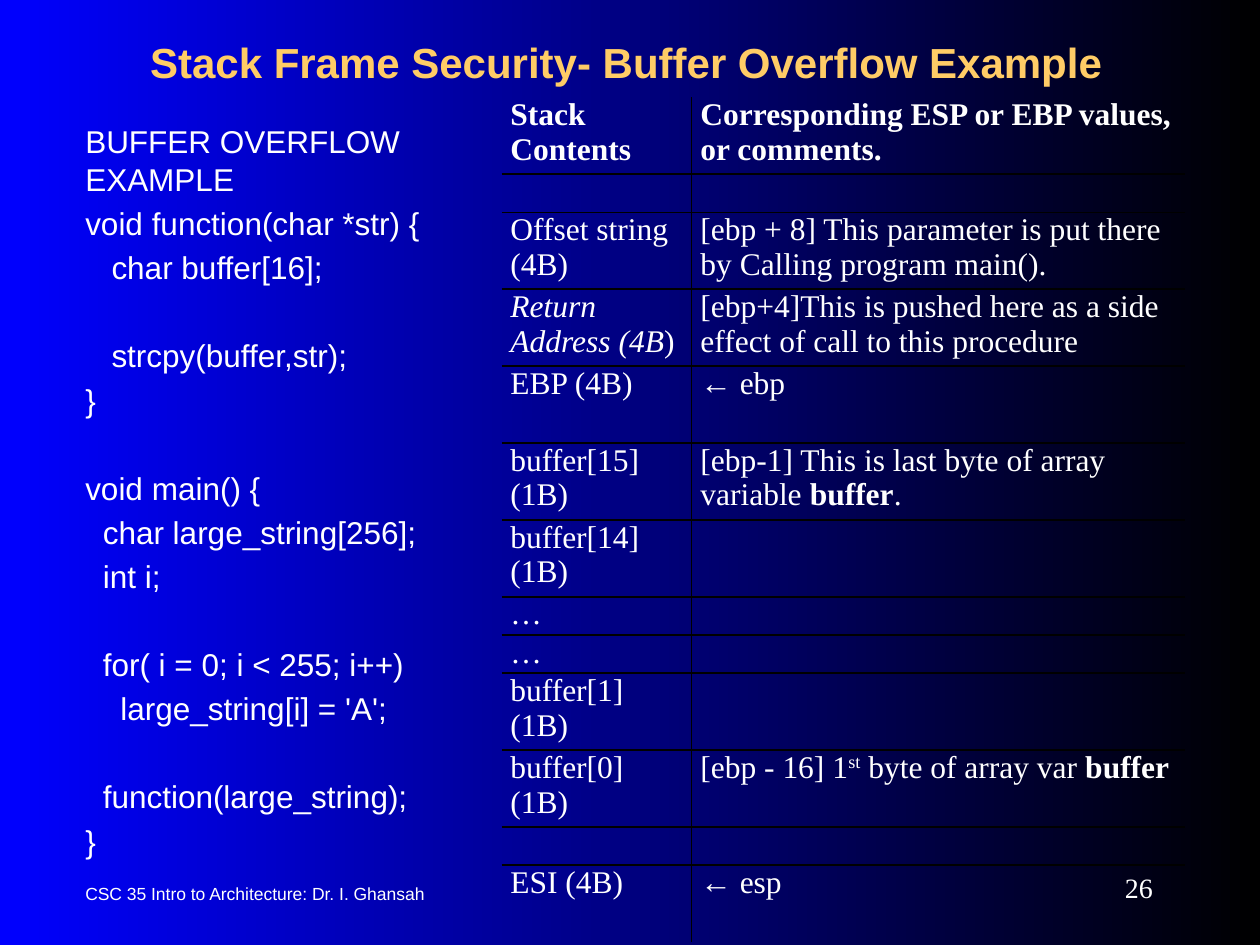
from pptx import Presentation, util as u
from pptx.dml.color import RGBColor
from pptx.enum import text
from pptx.oxml import parse_xml
from pptx.oxml.ns import nsdecls

COLORS = {"blue": "0000FF", "black": "000000", "gold": "FFCC66", "white": "FFFFFF"}
SANS, SERIF = "Arial", "Times New Roman"

HEADING = "Stack Frame Security- Buffer Overflow Example"
COURSE = "CSC 35 Intro to Architecture: Dr. I. Ghansah"
PAGE = "26"

# (lines skipped above, indent in characters, code)
CODE = [
    (0, 0, "BUFFER OVERFLOW EXAMPLE"),
    (0, 0, "void function(char *str) {"),
    (0, 3, "char buffer[16];"),
    (1, 3, "strcpy(buffer,str);"),
    (0, 0, "}"),
    (1, 0, "void main() {"),
    (0, 2, "char large_string[256];"),
    (0, 2, "int i;"),
    (1, 2, "for( i = 0; i < 255; i++)"),
    (0, 4, "large_string[i] = 'A';"),
    (1, 2, "function(large_string);"),
    (0, 0, "}"),
]

TALL, SHORT = 1.55, 0.77
STACK = [
    (TALL, [("Stack Contents", "b")],
     [("Corresponding ESP or EBP values, or comments.", "b")]),
    (SHORT, [], []),
    (TALL, [("Offset string (4B)", "")],
     [("[ebp + 8] This parameter is put there by Calling program main().", "")]),
    (TALL, [("Return Address (4B", "i"), (")", "")],
     [("[ebp+4]This is pushed here as a side effect of call to this procedure", "")]),
    (TALL, [("EBP (4B)", "")], [("← ebp", "")]),
    (TALL, [("buffer[15](1B)", "")],
     [("[ebp-1] This is last byte of array variable ", ""), ("buffer", "b"), (".", "")]),
    (TALL, [("buffer[14](1B)", "")], []),
    (SHORT, [("…", "")], []),
    (SHORT, [("…", "")], []),
    (TALL, [("buffer[1] (1B)", "")], []),
    (TALL, [("buffer[0] (1B)", "")],
     [("[ebp - 16] 1", ""), ("st", "^"), (" byte of array var ", ""), ("buffer", "b")]),
    (SHORT, [], []),
    (TALL, [("ESI (4B)", "")], [("← esp", "")]),
]
COLUMN_WIDTHS = [3.83, 9.94]
LINE_HEIGHT, LINE_GAP, SPACE_WIDTH = 21.6, 3.6, 5


def style(font, size, face, color, bold=False):
    font.size, font.name, font.bold = u.Pt(size), face, bold
    font.color.rgb = RGBColor.from_string(COLORS[color])


def add_words(slide, box, lines, size, face, color="white", bold=False,
              align=text.PP_ALIGN.LEFT, anchor=text.MSO_ANCHOR.MIDDLE):
    frame = slide.shapes.add_textbox(*map(u.Cm, box)).text_frame
    frame.word_wrap, frame.vertical_anchor = True, anchor
    frame.text = "\n".join(lines)
    for paragraph in frame.paragraphs:
        paragraph.alignment = align
        style(paragraph.runs[0].font, size, face, color, bold)
    return frame


def add_borders(cell, edges):
    props = cell._tc.get_or_add_tcPr()
    for side, drawn in edges.items():
        paint = (f'<a:solidFill><a:srgbClr val="{COLORS["black"]}"/></a:solidFill>'
                 if drawn else "<a:noFill/>")
        props.append(parse_xml(f'<a:ln{side} {nsdecls("a")} w="12700">{paint}</a:ln{side}>'))


def fill_cell(cell, parts):
    cell.margin_left = cell.margin_right = u.Cm(0.18)
    cell.margin_top = cell.margin_bottom = 0
    paragraph = cell.text_frame.paragraphs[0]
    for words, mark in parts:
        run = paragraph.add_run()
        run.text = words
        style(run.font, 18, SERIF, "white", mark == "b")
        run.font.italic = mark == "i"
        if mark == "^":
            run.font._element.set("baseline", "30000")


def add_stack(slide):
    heights = [row[0] for row in STACK]
    table = slide.shapes.add_table(
        len(STACK), len(COLUMN_WIDTHS), u.Cm(10.11), u.Cm(1.96),
        u.Cm(sum(COLUMN_WIDTHS)), u.Cm(sum(heights))).table
    table.first_row = table.horz_banding = False
    for column, width in zip(table.columns, COLUMN_WIDTHS):
        column.width = u.Cm(width)
    for r, (height, *contents) in enumerate(STACK):
        table.rows[r].height = u.Cm(height)
        for c, parts in enumerate(contents):
            cell = table.cell(r, c)
            fill_cell(cell, parts)
            add_borders(cell, {"L": c > 0, "R": c < len(contents) - 1,
                               "T": r > 0, "B": r < len(STACK) - 1})
            cell.fill.background()


def main():
    deck = Presentation()
    deck.slide_width, deck.slide_height = u.Cm(25.4), u.Cm(19.05)
    slide = deck.slides.add_slide(deck.slide_layouts[6])

    backdrop = slide.background.fill
    backdrop.gradient()
    backdrop.gradient_angle = 0
    for stop, color in zip(backdrop.gradient_stops, ("blue", "black")):
        stop.color.rgb = RGBColor.from_string(COLORS[color])

    add_words(slide, (1.83, 0.51, 21.59, 1.45), [HEADING], 24, SANS, "gold", True,
              text.PP_ALIGN.CENTER)
    listing = add_words(slide, (1.47, 2.34, 8.26, 15.04), [code for *_, code in CODE],
                        18, SANS, anchor=text.MSO_ANCHOR.TOP)
    for paragraph, (skipped, indent, _) in zip(listing.paragraphs, CODE):
        paragraph.line_spacing = u.Pt(LINE_HEIGHT)
        paragraph.space_before = u.Pt(LINE_GAP + skipped * (LINE_HEIGHT + LINE_GAP))
        paragraph._p.get_or_add_pPr().set("marL", str(u.Pt(indent * SPACE_WIDTH)))
    add_stack(slide)
    add_words(slide, (1.47, 17.6, 11.63, 0.84), [COURSE], 10, SANS)
    add_words(slide, (20.75, 17.35, 2.74, 1.07), [PAGE], 16, SERIF,
              align=text.PP_ALIGN.RIGHT)
    deck.save("out.pptx")


if __name__ == "__main__":
    main()
